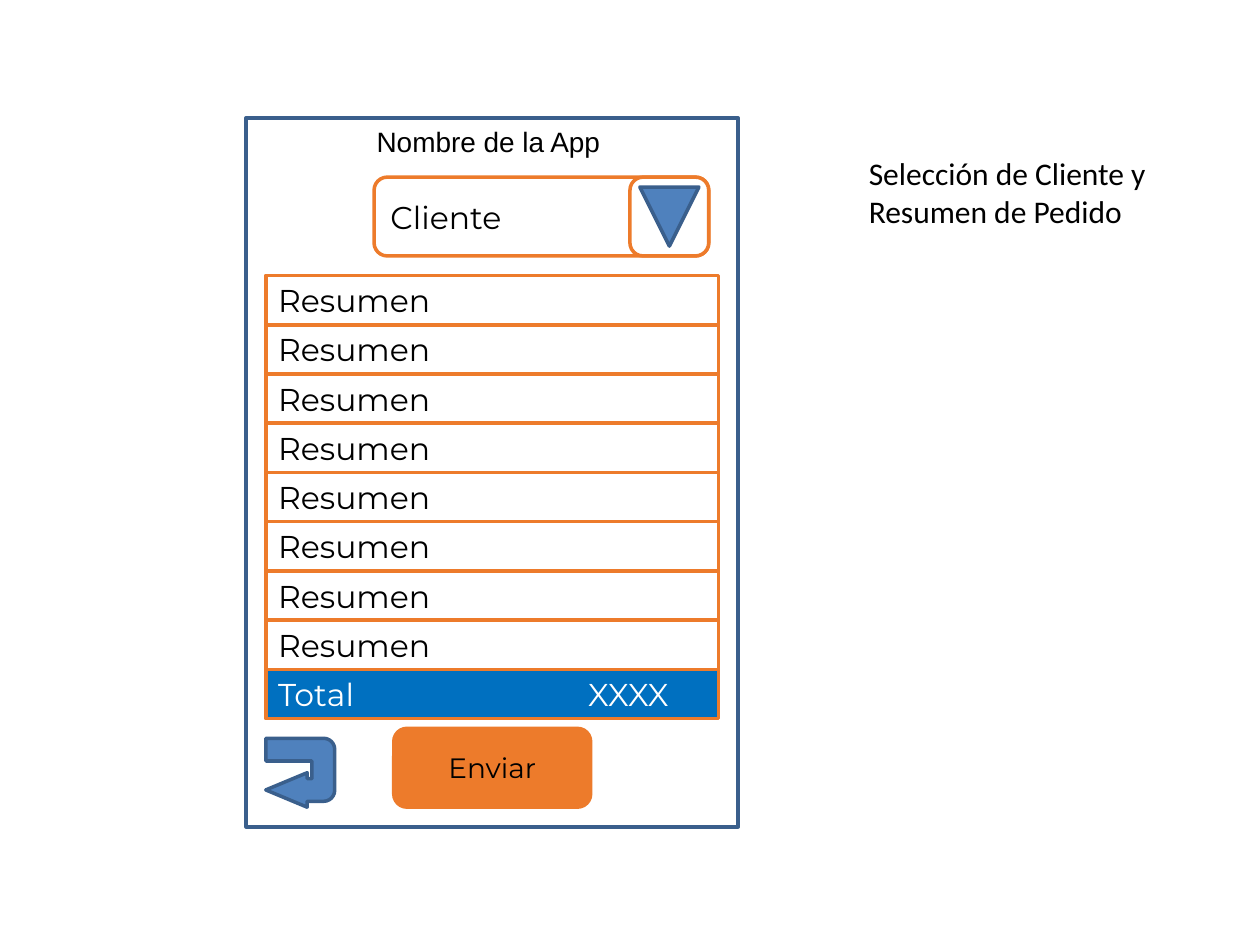
from lxml import etree
from pptx import Presentation
from pptx import util as u
from pptx.dml.color import RGBColor
from pptx.enum import shapes, text
from pptx.oxml.ns import qn

SCALE = 914400 / 128  # EMU in one px
WHITE = RGBColor(0xFF, 0xFF, 0xFF)
BLACK = RGBColor(0x00, 0x00, 0x00)
ORANGE = RGBColor(0xED, 0x7B, 0x2B)
BLUE = RGBColor(0x4F, 0x81, 0xBD)
NAVY = RGBColor(0x3A, 0x5F, 0x8C)
TOTAL = RGBColor(0x00, 0x70, 0xC0)
KIND = shapes.MSO_SHAPE
ALIGN = text.PP_ALIGN


def px(num):
    return u.Emu(round(num * SCALE))


def add_shape(slide, kind, box, fill, line, turn=0):
    shape = slide.shapes.add_shape(kind, *map(px, box))
    shape.shadow.inherit = False
    shape.fill.solid()
    shape.fill.fore_color.rgb = fill
    shape.line.color.rgb = line
    shape.line.width = u.Pt(2)
    shape.rotation = turn
    return shape


def write(shape, words, size=18, font="Montserrat", color=BLACK,
          align=ALIGN.LEFT, tab=None):
    """Fill the shape with one paragraph, with a tab stop if given in px."""
    frame = shape.text_frame
    frame.word_wrap = True
    para = frame.paragraphs[0]
    para.text = words
    para.alignment = align
    if tab:
        stops = etree.SubElement(para._p.get_or_add_pPr(), qn("a:tabLst"))
        etree.SubElement(stops, qn("a:tab"), pos=str(px(tab)), algn="l")
    para.font.size = u.Pt(size)
    para.font.name = font
    para.font.color.rgb = color


def add_label(slide, box, words, size, font):
    label = slide.shapes.add_textbox(*map(px, box))
    write(label, words, size, font)


def add_picker(slide):
    field = add_shape(slide, KIND.ROUNDED_RECTANGLE, (380, 180, 340, 80),
                      WHITE, ORANGE)
    write(field, "Cliente")
    add_shape(slide, KIND.ROUNDED_RECTANGLE, (640, 180, 80, 80), WHITE, ORANGE)
    add_shape(slide, KIND.ISOSCELES_TRIANGLE, (650, 190, 60, 60), BLUE, NAVY, 180)


def add_rows(slide, count=8):
    """Stack the summary rows and close them with the total."""
    for i in range(count + 1):
        last = i == count
        row = add_shape(slide, KIND.RECTANGLE, (270, 280 + 50 * i, 460, 50),
                        TOTAL if last else WHITE, ORANGE)
        if last:
            write(row, "Total\tXXXX", color=WHITE, tab=315)
        else:
            write(row, "Resumen")


def add_back(slide):
    arrow = add_shape(slide, KIND.U_TURN_ARROW, (270, 750, 70, 70), BLUE, NAVY, 90)
    for i, value in enumerate((0.33, 0.25, 0.6, 0.16, 1)):
        arrow.adjustments[i] = value


def main():
    deck = Presentation()
    deck.slide_width, deck.slide_height = px(1280), px(960)
    slide = deck.slides.add_slide(deck.slide_layouts[6])

    add_shape(slide, KIND.RECTANGLE, (250, 120, 500, 720), WHITE, NAVY)
    add_picker(slide)
    send = add_shape(slide, KIND.ROUNDED_RECTANGLE, (400, 740, 200, 80),
                     ORANGE, ORANGE)
    write(send, "Enviar", 16, align=ALIGN.CENTER)
    add_rows(slide)
    add_label(slide, (870, 150, 340, 91),
              "Selección de Cliente y Resumen de Pedido", 18, "Calibri")
    add_label(slide, (370, 120, 380, 47), "Nombre de la App", 16, "Arial")
    add_back(slide)

    deck.save("out.pptx")


if __name__ == "__main__":
    main()
